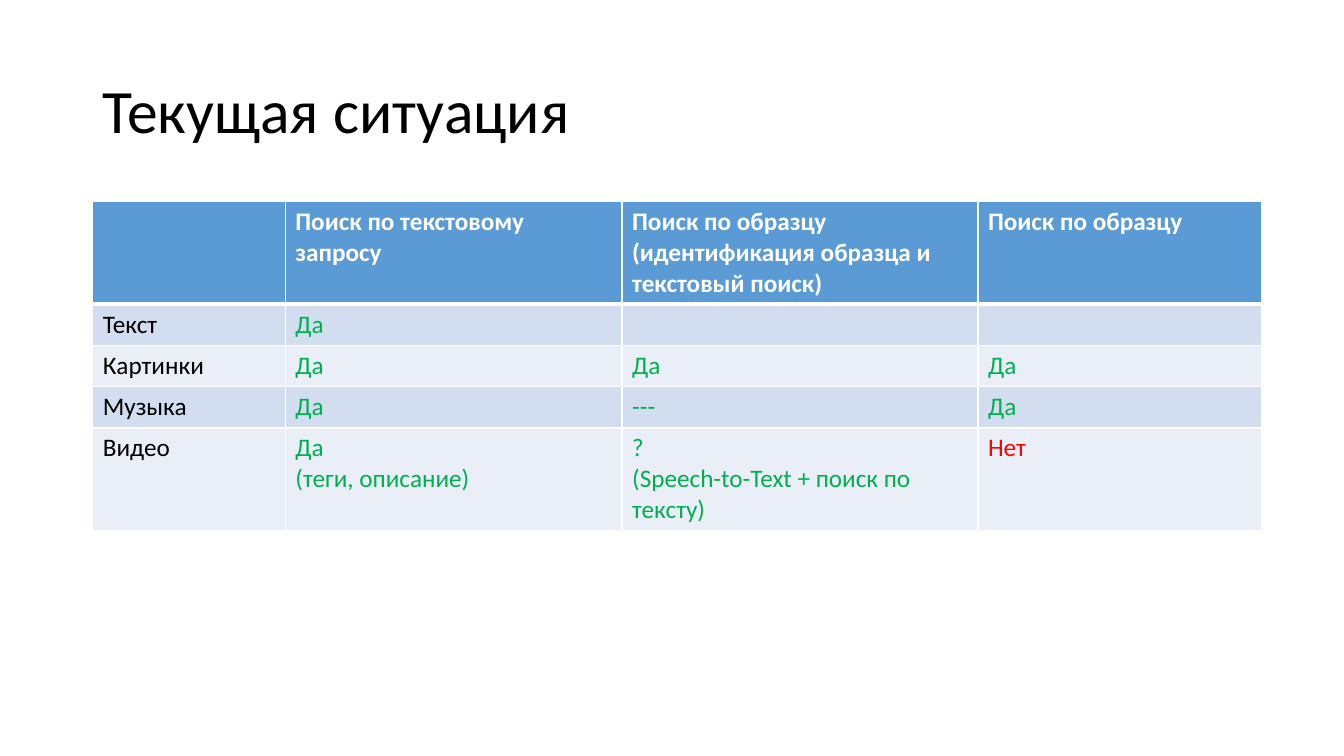
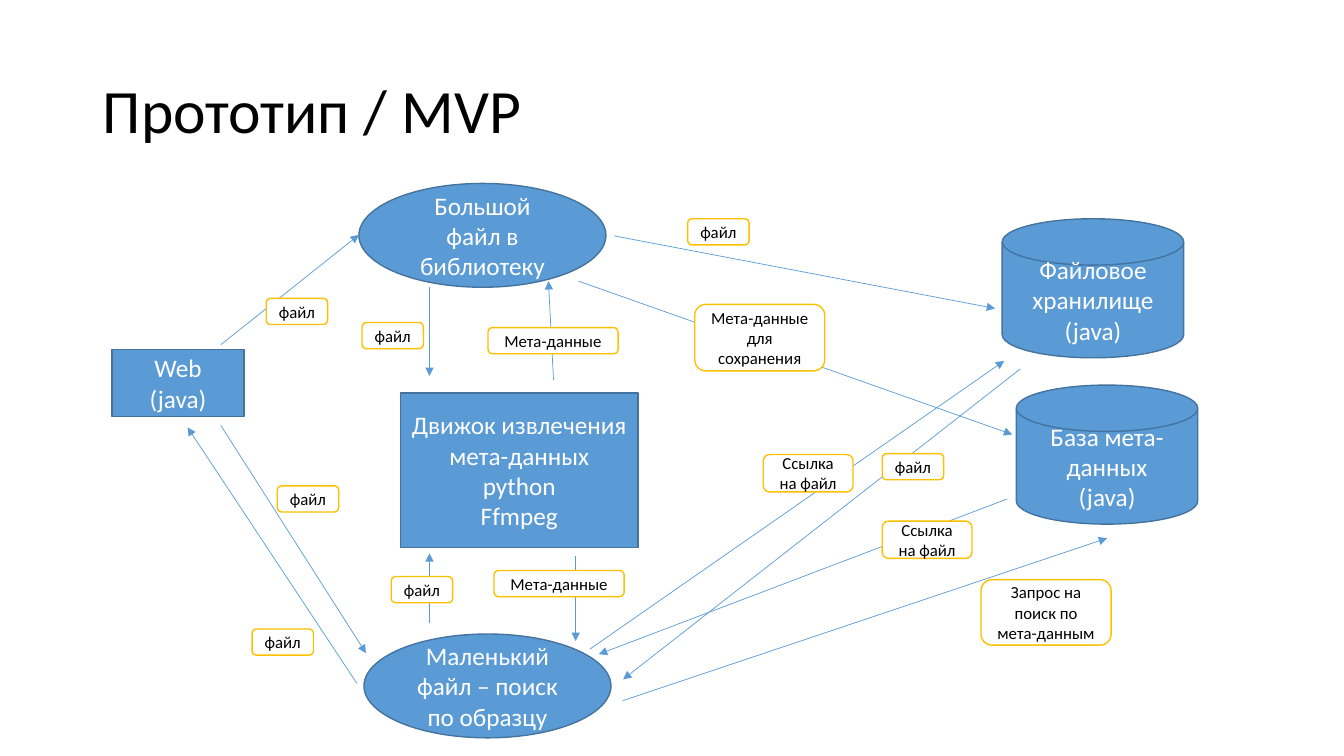
from lxml import etree
from pptx import Presentation
from pptx import util as u
from pptx.dml.color import RGBColor
from pptx.enum import shapes, text
from pptx.oxml.ns import qn

SIZE = (13.33, 7.5)
FONT = "Calibri"
BLUE, EDGE, GOLD = "5B9BD5", "43739E", "FFC000"
WHITE, BLACK, GREEN, RED = "FFFFFF", "000000", "00B050", "FF0000"
BANDS = ("D2DEEF", "EAEFF7")
TITLE_BOX = (0.92, 0.4, 11.5, 1.45)

TABLE_TITLE = "Текущая ситуация"
TABLE_AT = (0.92, 2)
COL_WIDTHS = (1.91, 3.34, 3.53, 2.81)
ROW_HEIGHTS = (1.01, 0.41, 0.41, 0.41, 1.01)
ROWS = [
    ("", "Поиск по текстовому запросу",
     "Поиск по образцу\n(идентификация образца и текстовый поиск)", "Поиск по образцу"),
    ("Текст", "Да", "", ""),
    ("Картинки", "Да", "Да", "Да"),
    ("Музыка", "Да", "---", "Да"),
    ("Видео", "Да\n(теги, описание)", "?\n(Speech-to-Text + поиск по тексту)", "Нет"),
]

DIAGRAM_TITLE = "Прототип / MVP"
S = shapes.MSO_SHAPE
OVAL, DISK = (2.45, 1.03), (1.8, 1.38)
NODES = [
    ("Web\n(java)", S.RECTANGLE, (1.11, 3.47), (1.31, 0.66)),
    ("База мета-данных\n(java)", S.FLOWCHART_MAGNETIC_DISK, (10.08, 3.82), DISK),
    ("Большой файл в библиотеку", S.OVAL, (3.56, 1.82), OVAL),
    ("Маленький файл – поиск по образцу", S.OVAL, (3.61, 6.29), OVAL),
    ("Файловое хранилище\n(java)", S.FLOWCHART_MAGNETIC_DISK, (9.94, 2.17), DISK),
    ("Движок извлечения мета-данных\npython\nFfmpeg", S.RECTANGLE, (3.97, 3.9), (2.36, 1.53)),
]
ARROWS = [
    ((2.19, 3.42), (3.56, 2.33)),
    ((2.19, 4.22), (3.63, 6.48)),
    ((4.26, 6.18), (4.26, 5.49)),
    ((4.26, 2.85), (4.26, 3.73)),
    ((5.49, 3.77), (5.44, 2.79)),
    ((6.09, 2.34), (9.87, 3.06)),
    ((5.74, 2.79), (10.04, 4.31)),
    ((5.71, 5.52), (5.71, 6.36)),
    ((6.18, 6.95), (10.98, 5.34)),
    ((3.54, 6.78), (1.86, 4.24)),
    ((9.99, 4.95), (5.94, 6.49)),
    ((5.85, 6.44), (9.96, 3.58)),
    ((10.12, 3.66), (6.18, 6.74)),
]
LABELS = [
    ("файл", (0.61, 0.26), [(2.64, 2.96), (3.59, 3.2), (2.75, 4.82), (3.88, 5.72),
                            (6.82, 2.17), (8.75, 4.5), (2.5, 6.24)]),
    ("Мета-данные", (1.29, 0.26), [(4.9, 5.66), (4.84, 3.25)]),
    ("Мета-данные для сохранения", (1.29, 0.66), [(6.89, 3.02)]),
    ("Запрос на поиск по мета-данным", (1.29, 0.65), [(9.73, 5.75)]),
    ("Ссылка на файл", (0.89, 0.37), [(8.75, 5.17), (7.57, 4.51)]),
]


def inches(values):
    return [u.Inches(v) for v in values]


def paint(fill, color):
    fill.solid()
    fill.fore_color.rgb = RGBColor.from_string(color)


def write(tf, content, size, color, bold=False, **layout):
    tf.text = content
    for p in tf.paragraphs:
        for key, value in layout.items():
            setattr(p, key, value)
        for key, value in {"name": FONT, "size": u.Pt(size), "bold": bold}.items():
            setattr(p.font, key, value)
        paint(p.font.fill, color)


def add_slide(prs, title):
    s = prs.slides.add_slide(prs.slide_layouts[5])
    sp = s.shapes.title
    sp.left, sp.top, sp.width, sp.height = inches(TITLE_BOX)
    tf = sp.text_frame
    tf.vertical_anchor = text.MSO_ANCHOR.MIDDLE
    write(tf, title, 44, BLACK, alignment=text.PP_ALIGN.LEFT, line_spacing=0.9)
    return s


def border(cell, side, points):
    ln = etree.SubElement(cell._tc.get_or_add_tcPr(), qn(f"a:ln{side}"), w=str(u.Pt(points)))
    fill = etree.SubElement(ln, qn("a:solidFill"))
    etree.SubElement(fill, qn("a:srgbClr"), val=WHITE)


def cell_color(row, col, content):
    if row == 0:
        return WHITE
    if col == 0:
        return BLACK
    return RED if content == "Нет" else GREEN


def add_grid(s):
    box = inches((*TABLE_AT, sum(COL_WIDTHS), sum(ROW_HEIGHTS)))
    table = s.shapes.add_table(len(ROWS), len(COL_WIDTHS), *box).table
    for col, width in zip(table.columns, COL_WIDTHS):
        col.width = u.Inches(width)
    for row, height in zip(table.rows, ROW_HEIGHTS):
        row.height = u.Inches(height)
    for i, row in enumerate(ROWS):
        for j, content in enumerate(row):
            cell = table.cell(i, j)
            for side in "LRTB":
                border(cell, side, 3 if (i, side) in ((0, "B"), (1, "T")) else 1)
            paint(cell.fill, BANDS[(i - 1) % 2] if i else BLUE)
            write(cell.text_frame, content, 18, cell_color(i, j, content), bold=i == 0)


def add_box(s, kind, at, size, content, fill, line, points, color):
    sp = s.shapes.add_shape(kind, *inches((*at, *size)))
    sp.shadow.inherit = False
    paint(sp.fill, fill)
    paint(sp.line.fill, line)
    sp.line.width = u.Pt(1)
    tf = sp.text_frame
    tf.word_wrap = True
    tf.vertical_anchor = text.MSO_ANCHOR.MIDDLE
    write(tf, content, points, color, alignment=text.PP_ALIGN.CENTER)


def add_arrow(s, start, end):
    c = s.shapes.add_connector(shapes.MSO_CONNECTOR.STRAIGHT, *inches((*start, *end)))
    paint(c.line.fill, BLUE)
    c.line.width = u.Pt(0.5)
    etree.SubElement(c.line._get_or_add_ln(), qn("a:tailEnd"), type="triangle")
    etree.SubElement(c._element.spPr, qn("a:effectLst"))


def main():
    prs = Presentation()
    prs.slide_width, prs.slide_height = inches(SIZE)
    add_grid(add_slide(prs, TABLE_TITLE))
    s = add_slide(prs, DIAGRAM_TITLE)
    for content, kind, at, size in NODES:
        add_box(s, kind, at, size, content, BLUE, EDGE, 18, WHITE)
    for start, end in ARROWS:
        add_arrow(s, start, end)
    for content, size, places in LABELS:
        for at in places:
            add_box(s, S.ROUNDED_RECTANGLE, at, size, content, WHITE, GOLD, 12, BLACK)
    prs.save("out.pptx")


if __name__ == "__main__":
    main()
